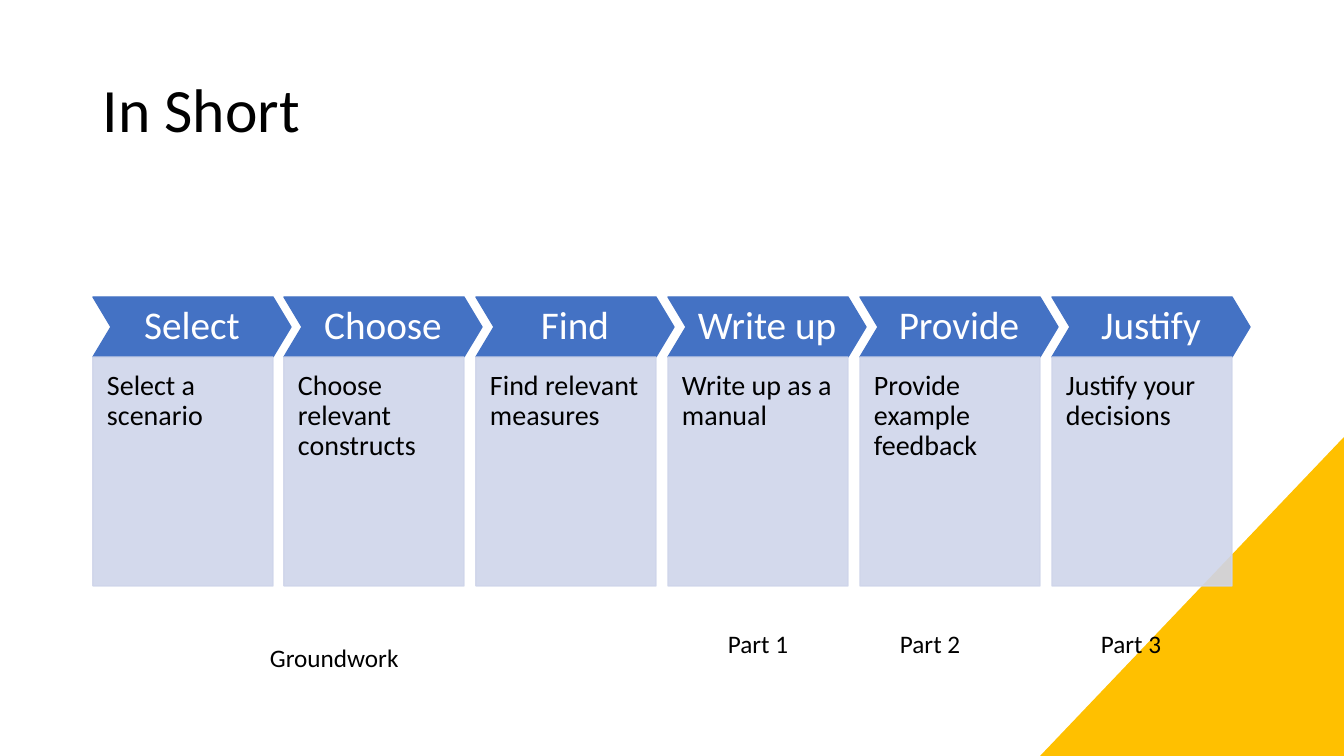
from pptx import Presentation
from pptx.dml.color import RGBColor
from pptx.enum.shapes import MSO_SHAPE
from pptx.enum.text import MSO_ANCHOR, PP_ALIGN
from pptx.oxml.ns import qn
from pptx.util import Pt
from lxml import etree

CHEVRON, RECT, CORNER = MSO_SHAPE.CHEVRON, MSO_SHAPE.RECTANGLE, MSO_SHAPE.RIGHT_TRIANGLE
TOP, MIDDLE = MSO_ANCHOR.TOP, MSO_ANCHOR.MIDDLE
LEFT, CENTER = PP_ALIGN.LEFT, PP_ALIGN.CENTER

BLACK = RGBColor(0x00, 0x00, 0x00)
WHITE = RGBColor(0xFF, 0xFF, 0xFF)
BLUE = RGBColor(0x44, 0x72, 0xC4)
PALE = RGBColor(0xCF, 0xD5, 0xEA)
GOLD = RGBColor(0xFF, 0xC0, 0x00)

WIDTH, HEIGHT = 1344, 756
SCALE = 12192000 / WIDTH

STEPS = [
    ("Select", "Select a scenario"),
    ("Choose", "Choose relevant constructs"),
    ("Find", "Find relevant measures"),
    ("Write up", "Write up as a manual"),
    ("Provide", "Provide example feedback"),
    ("Justify", "Justify your decisions"),
]
LABELS = [
    ("Part 1", 718, 623),
    ("Part 2", 890, 623),
    ("Part 3", 1091, 623),
    ("Groundwork", 260, 637),
]


def px(*sizes):
    return [round(size * SCALE) for size in sizes]


class Page:
    font = "Calibri"

    def __init__(self, deck):
        self.slide = deck.slides.add_slide(deck.slide_layouts[6])

    def shape(self, kind, box, color, alpha=100):
        item = self.slide.shapes.add_shape(kind, *px(*box))
        item.shadow.inherit = False
        item.line.width = Pt(1)
        for fill in (item.fill, item.line.fill):
            fill.solid()
            fill.fore_color.rgb = color
        if alpha < 100:
            for tone in item.element.spPr.iter(qn("a:srgbClr")):
                etree.SubElement(tone, qn("a:alpha"), val=str(alpha * 1000))
        return item

    def label(self, item, text, size, color=BLACK, align=LEFT, anchor=TOP,
              inset=(10, 5, 10, 5), space=0.9):
        frame = item.text_frame
        frame.word_wrap = True
        frame.vertical_anchor = anchor
        (frame.margin_left, frame.margin_top,
         frame.margin_right, frame.margin_bottom) = px(*inset)
        para = frame.paragraphs[0]
        para.text = text
        para.alignment = align
        para.line_spacing = space
        para.font.name = self.font
        para.font.size = Pt(size)
        para.font.color.rgb = color

    def text(self, box, text, size, **style):
        self.label(self.slide.shapes.add_textbox(*px(*box)), text, size, **style)


def main():
    deck = Presentation()
    deck.slide_width, deck.slide_height = px(WIDTH, HEIGHT)
    page = Page(deck)

    # Corner triangle, right angle at bottom right
    corner = page.shape(CORNER, (1041, 438, 303, 318), GOLD)
    corner.element.spPr.xfrm.set("flipH", "1")

    # Title
    page.text((93, 40, 1159, 146), "In Short", 44, anchor=MIDDLE)

    # Steps: chevron head above a pale panel
    for i, (name, detail) in enumerate(STEPS):
        left = 93 + i * 959 // 5
        head = page.shape(CHEVRON, (left, 297, 198, 60), BLUE)
        head.adjustments[0] = 0.3
        page.label(head, name, 28, WHITE, CENTER, MIDDLE, (7, 7, 7, 7))
        panel = page.shape(RECT, (left, 357, 180, 229), PALE, 90)
        page.label(panel, detail, 20, inset=(14, 14, 14, 28))

    # Labels under the steps
    for name, left, top in LABELS:
        page.text((left, top, 290, 40), name, 18, space=1.0)

    deck.save("out.pptx")


if __name__ == "__main__":
    main()
